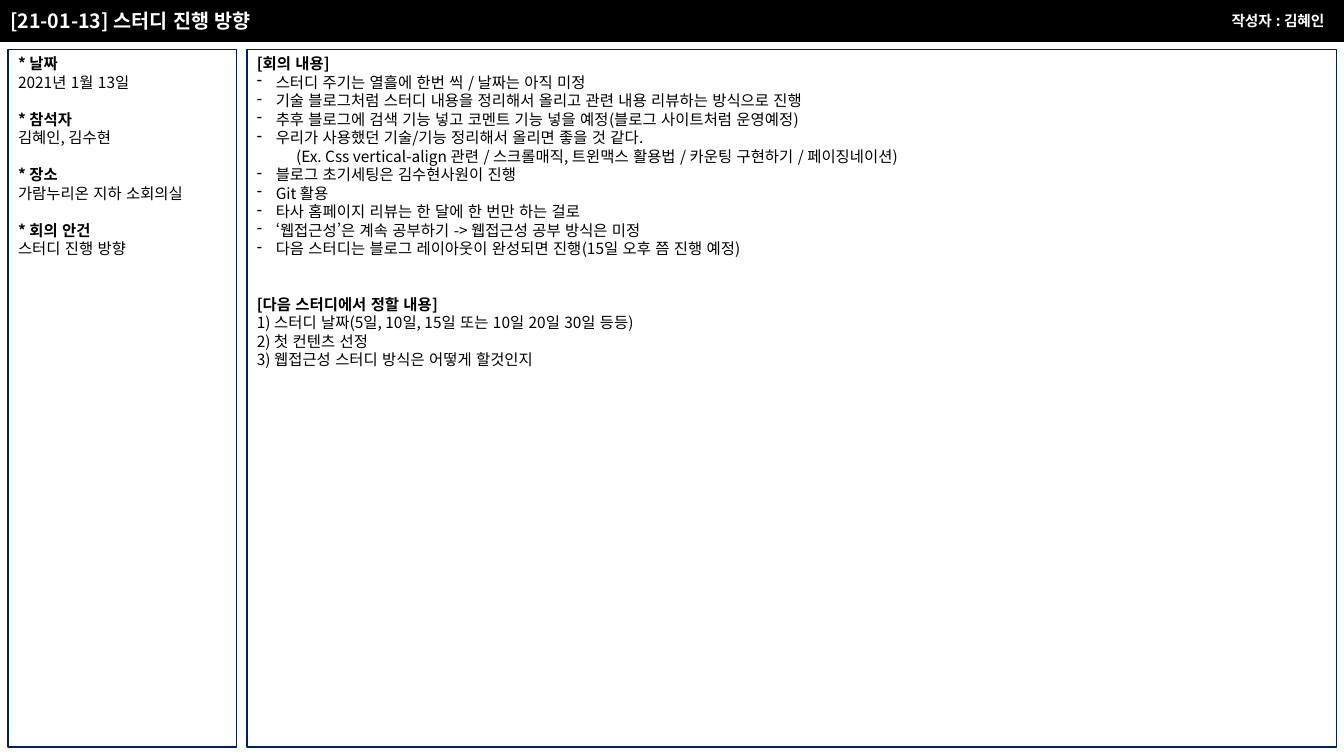
import pptx
import pptx.dml.color
import pptx.enum.lang
import pptx.enum.shapes
import pptx.enum.text
import pptx.oxml
import pptx.oxml.ns
import pptx.util

Pt = pptx.util.Pt
RGBColor = pptx.dml.color.RGBColor
ANCHOR = pptx.enum.text.MSO_ANCHOR
LEFT = pptx.enum.text.PP_ALIGN.LEFT
KOREAN = pptx.enum.lang.MSO_LANGUAGE_ID.KOREAN

BLACK = RGBColor(0, 0, 0)
WHITE = RGBColor(255, 255, 255)
NAVY = RGBColor(0, 0x20, 0x60)
FONT = "Noto Sans CJK KR"
NS = pptx.oxml.ns.nsdecls("a")
PITCH = 13.2  # height of one line of notes
DASH = 13.5  # hanging indent of dash items
DEEP = 28  # indent of the example under a dash item


def style(para, size, color, bold):
    """Format every run of a paragraph, Korean text included."""
    para.alignment = LEFT
    for run in para.runs:
        font = run.font
        font.name, font.size, font.bold = FONT, Pt(size), bold
        font.language_id = KOREAN
        font.color.rgb = color
        east = pptx.oxml.parse_xml(f'<a:ea {NS} typeface="{FONT}"/>')
        font._element.find(pptx.oxml.ns.qn("a:latin")).addnext(east)


def panel(left, width, rows):
    """Draw a framed panel and fill it with (kind, text, gap) rows."""
    box = slide.shapes.add_shape(
        pptx.enum.shapes.MSO_SHAPE.RECTANGLE,
        Pt(left), Pt(35.3), Pt(width), Pt(498.3))
    box.shadow.inherit = False
    box.fill.solid()
    box.fill.fore_color.rgb = WHITE
    box.line.color.rgb = NAVY
    box.line.width = Pt(1)
    frame = box.text_frame
    frame.word_wrap = True
    frame.vertical_anchor = ANCHOR.TOP
    frame.text = "\n".join(text for kind, text, gap in rows)
    for para, (kind, text, gap) in zip(frame.paragraphs, rows):
        style(para, 11, BLACK, kind == "head")
        para.line_spacing = Pt(PITCH)
        para.space_before = Pt(gap * PITCH)
        props = para._p.get_or_add_pPr()
        if kind == "dash":
            props.set("marL", str(Pt(DASH)))
            props.set("indent", str(-Pt(DASH)))
            props.append(pptx.oxml.parse_xml(f'<a:buChar {NS} char="-"/>'))
        elif kind == "deep":
            props.set("marL", str(Pt(DEEP)))


prs = pptx.Presentation()
prs.slide_width, prs.slide_height = Pt(960), Pt(540)
slide = prs.slides.add_slide(prs.slide_layouts[5])

title = slide.shapes.title
title.left, title.top, title.width, title.height = Pt(0), Pt(0), Pt(960), Pt(30)
title.fill.solid()
title.fill.fore_color.rgb = BLACK
frame = title.text_frame
frame.text = "[21-01-13] 스터디 진행 방향"
frame.vertical_anchor = ANCHOR.MIDDLE
frame.auto_size = pptx.enum.text.MSO_AUTO_SIZE.NONE
style(frame.paragraphs[0], 14, WHITE, True)

facts = [
    ("날짜", "2021년 1월 13일"),
    ("참석자", "김혜인, 김수현"),
    ("장소", "가람누리온 지하 소회의실"),
    ("회의 안건", "스터디 진행 방향"),
]
rows = []
for name, value in facts:
    rows.append(("head", f"* {name}", 1 if rows else 0))
    rows.append(("text", value, 0))
panel(5.8, 163.4, rows)

panel(176.4, 778.3, [
    ("head", "[회의 내용]", 0),
    ("dash", "스터디 주기는 열흘에 한번 씩 / 날짜는 아직 미정", 0),
    ("dash", "기술 블로그처럼 스터디 내용을 정리해서 올리고 관련 내용 리뷰하는 방식으로 진행", 0),
    ("dash", "추후 블로그에 검색 기능 넣고 코멘트 기능 넣을 예정(블로그 사이트처럼 운영예정)", 0),
    ("dash", "우리가 사용했던 기술/기능 정리해서 올리면 좋을 것 같다.", 0),
    ("deep", "(Ex. Css vertical-align 관련 / 스크롤매직, 트윈맥스 활용법 / "
             "카운팅 구현하기 / 페이징네이션)", 0),
    ("dash", "블로그 초기세팅은 김수현사원이 진행", 0),
    ("dash", "Git 활용", 0),
    ("dash", "타사 홈페이지 리뷰는 한 달에 한 번만 하는 걸로", 0),
    ("dash", "‘웹접근성’은 계속 공부하기 -> 웹접근성 공부 방식은 미정", 0),
    ("dash", "다음 스터디는 블로그 레이아웃이 완성되면 진행(15일 오후 쯤 진행 예정)", 0),
    ("head", "[다음 스터디에서 정할 내용]", 2),
    ("text", "1) 스터디 날짜(5일, 10일, 15일 또는 10일 20일 30일 등등)", 0),
    ("text", "2) 첫 컨텐츠 선정", 0),
    ("text", "3) 웹접근성 스터디 방식은 어떻게 할것인지", 0),
])

author = slide.shapes.add_textbox(Pt(872.6), Pt(5), Pt(87), Pt(20))
frame = author.text_frame
frame.word_wrap = False
frame.vertical_anchor = ANCHOR.MIDDLE
frame.text = "작성자 : 김혜인"
style(frame.paragraphs[0], 10.5, WHITE, True)

prs.save("out.pptx")
